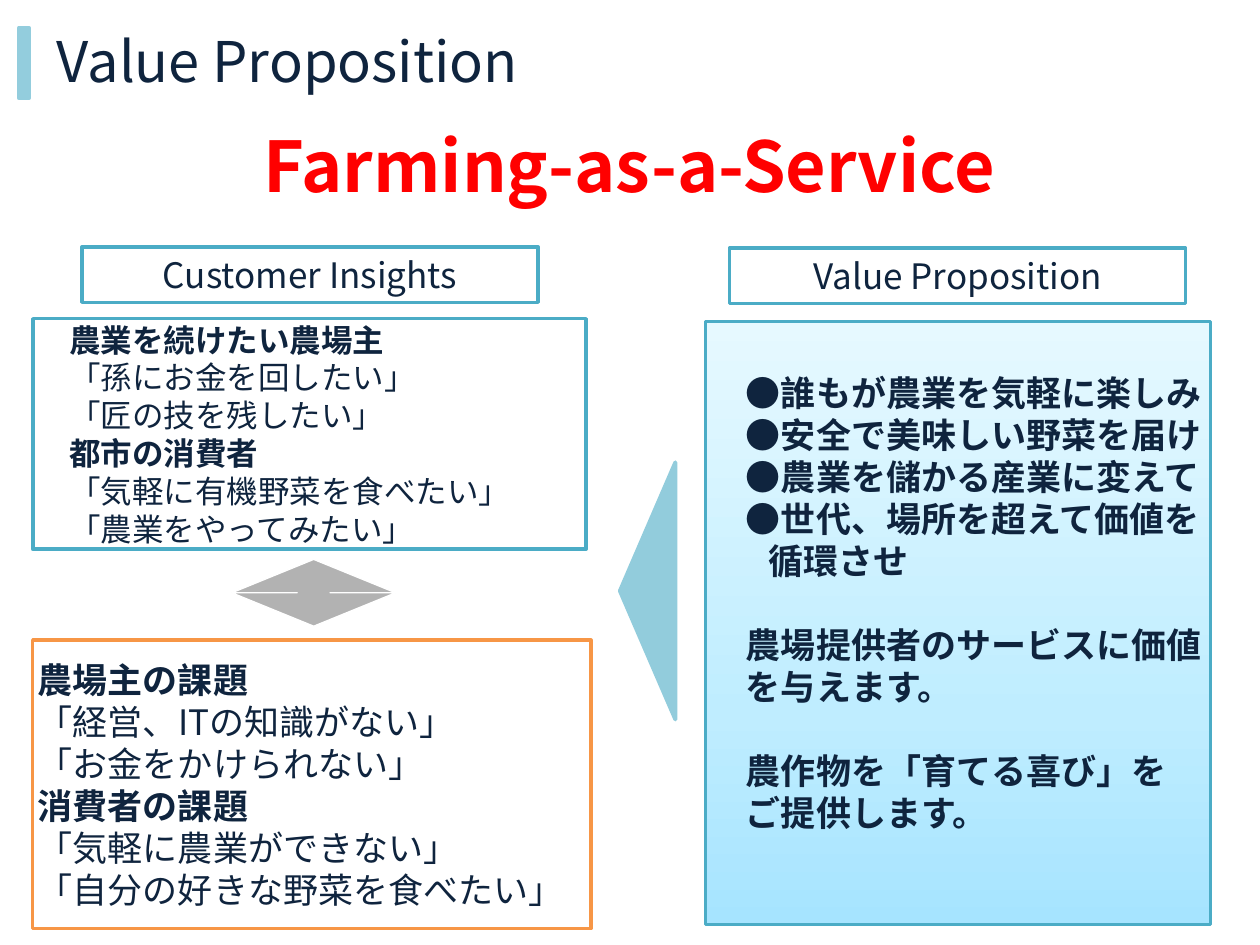
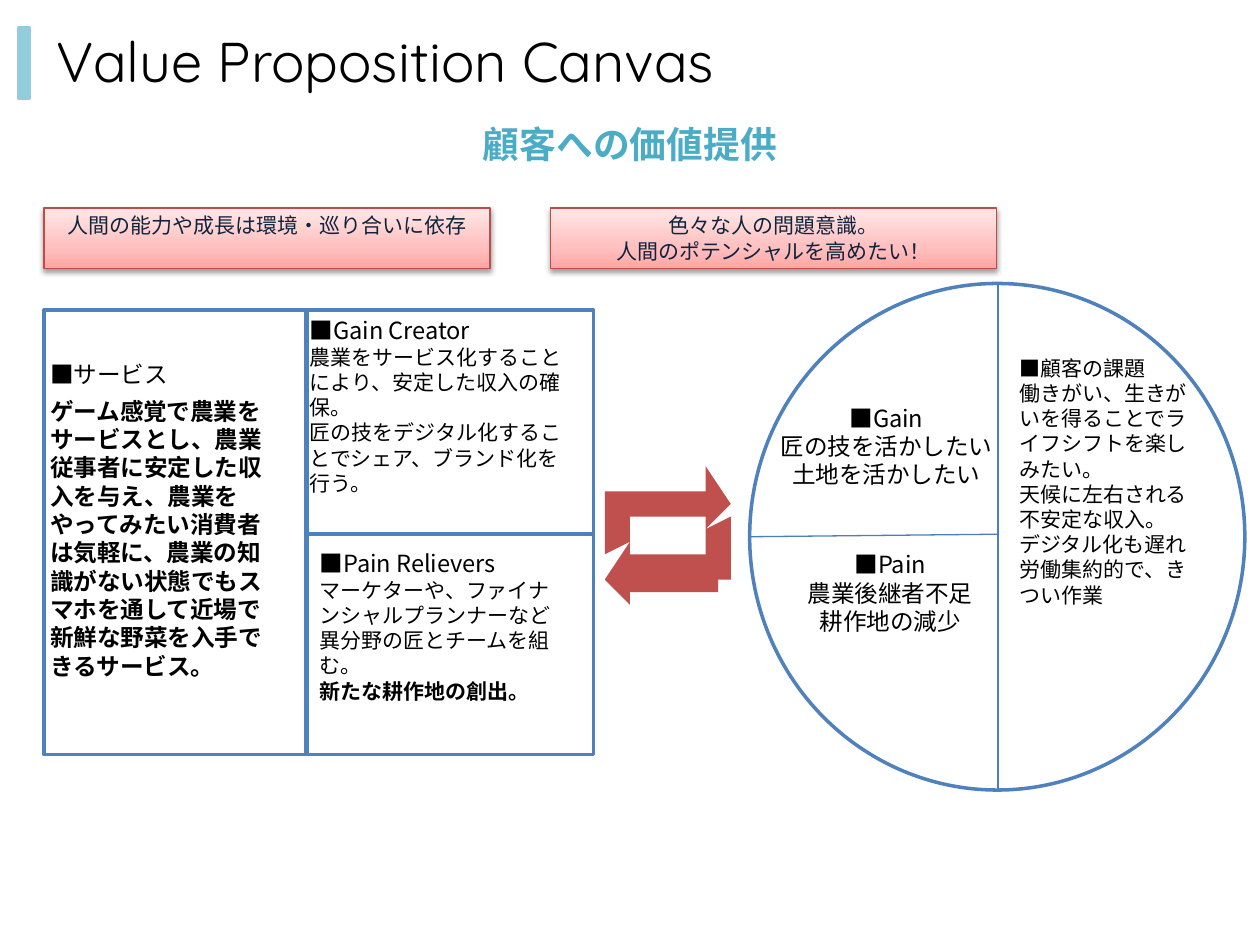
from dataclasses import dataclass

from lxml import etree
from pptx import Presentation
from pptx.dml.color import RGBColor
from pptx.enum.shapes import MSO_CONNECTOR, MSO_SHAPE
from pptx.enum.text import MSO_ANCHOR, MSO_AUTO_SIZE, PP_ALIGN
from pptx.oxml.ns import qn
from pptx.util import Inches, Pt

RECT, OVAL = MSO_SHAPE.RECTANGLE, MSO_SHAPE.OVAL
TRIANGLE, UP_DOWN = MSO_SHAPE.ISOSCELES_TRIANGLE, MSO_SHAPE.UP_DOWN_ARROW
STRAIGHT = MSO_CONNECTOR.STRAIGHT
TOP, MIDDLE = MSO_ANCHOR.TOP, MSO_ANCHOR.MIDDLE
LEFT, CENTER = PP_ALIGN.LEFT, PP_ALIGN.CENTER

SANS, ROUND = "Noto Sans CJK JP", "Quicksand"
COLORS = {
    "navy": "0F243E", "black": "000000", "white": "FFFFFF", "red": "FF0000",
    "teal": "4BACC6", "bar": "93CDDD", "pointer": "92CCDC", "grey": "B2B2B2",
    "orange": "F79646", "blue": "4F81BD", "divider": "4B7EBC",
    "cycle": "C0504D", "rose": "BF4C48",
}
SKY_STOPS = ((0, "A6E4FF"), (35, "BFEDFF"), (100, "E6F9FF"))
ROSE_STOPS = ((0, "FFA6A5"), (35, "FFC0BF"), (100, "FFE7E7"))

# Every place is given on a grid of 100 columns by 75 rows.
WIDTH, HEIGHT = Inches(10), Inches(7.5)
COLUMN, ROW = WIDTH / 100, HEIGHT / 75


@dataclass(frozen=True)
class Area:
    left: float
    top: float
    width: float
    height: float

    def lengths(self) -> tuple[int, ...]:
        return (round(self.left * COLUMN), round(self.top * ROW),
                round(self.width * COLUMN), round(self.height * ROW))


@dataclass(frozen=True)
class Line:
    words: str
    bold: bool = False
    indent: float = 0
    before: float = 0
    size: float = 0


@dataclass(frozen=True)
class Style:
    size: float
    color: str = "navy"
    font: str = SANS
    align: PP_ALIGN = LEFT
    anchor: MSO_ANCHOR = MIDDLE
    side: float = 0.1
    above: float = 0.05
    below: float = 0.05


@dataclass(frozen=True)
class Look:
    fill: str = ""
    line: str = ""
    weight: float = 2
    stops: tuple = ()


@dataclass(frozen=True)
class TextBlock:
    area: Area
    style: Style
    lines: list


def rgb(name: str) -> RGBColor:
    return RGBColor.from_string(COLORS[name])


def write(shape, lines: list[Line], style: Style) -> None:
    frame = shape.text_frame
    frame.word_wrap = True
    frame.auto_size = MSO_AUTO_SIZE.NONE
    frame.vertical_anchor = style.anchor
    frame.margin_left = frame.margin_right = Inches(style.side)
    frame.margin_top, frame.margin_bottom = Inches(style.above), Inches(style.below)
    for number, line in enumerate(lines):
        para = frame.add_paragraph() if number else frame.paragraphs[0]
        para.text = line.words
        para.alignment = style.align
        if line.before:
            para.space_before = Pt(line.before)
        properties = para._p.get_or_add_pPr()
        properties.set("marL", "0")
        properties.set("indent", str(Inches(line.indent)))
        if shape.is_placeholder:
            etree.SubElement(properties, qn("a:buNone"))
        font = para.font
        font.size = Pt(line.size or style.size)
        font.bold = line.bold
        font.color.rgb = rgb(style.color)
        font.name = style.font
        east_asian = etree.SubElement(properties.find(qn("a:defRPr")), qn("a:ea"))
        east_asian.set("typeface", SANS)


def paint(shape, look: Look) -> None:
    shape.shadow.inherit = False
    if look.stops:
        shape.fill.gradient()
        shape.fill.gradient_angle = 90
        stop_list = shape._element.spPr.find(".//" + qn("a:gsLst"))
        stop_list.clear()
        for share, color in look.stops:
            stop = etree.SubElement(stop_list, qn("a:gs"), pos=str(share * 1000))
            etree.SubElement(stop, qn("a:srgbClr"), val=color)
    elif look.fill:
        shape.fill.solid()
        shape.fill.fore_color.rgb = rgb(look.fill)
    else:
        shape.fill.background()
    if look.line:
        shape.line.color.rgb = rgb(look.line)
        shape.line.width = Pt(look.weight)
    else:
        shape.line.fill.background()


def draw(page, kind, area: Area, look: Look):
    shape = page.shapes.add_shape(kind, *area.lengths())
    paint(shape, look)
    return shape


def add_shadow(shape) -> None:
    effects = shape._element.spPr.find(qn("a:effectLst"))
    shadow = etree.SubElement(effects, qn("a:outerShdw"), blurRad=str(Pt(3.1)),
                              dist=str(Pt(1.6)), dir="5400000", rotWithShape="0")
    color = etree.SubElement(shadow, qn("a:srgbClr"), val=COLORS["black"])
    etree.SubElement(color, qn("a:alpha"), val="38000")


def divide(page, start: tuple, end: tuple) -> None:
    points = [round(value * unit) for point in (start, end)
              for value, unit in zip(point, (COLUMN, ROW))]
    connector = page.shapes.add_connector(STRAIGHT, *points)
    connector.line.color.rgb = rgb("divider")
    connector.line.width = Pt(0.75)
    etree.SubElement(connector._element.spPr, qn("a:effectLst"))


def start_page(deck, title: str, title_style: Style, subtitle: TextBlock):
    page = deck.slides.add_slide(deck.slide_layouts[1])
    heading, body = page.placeholders
    heading_block = TextBlock(Area(1.5, 1.6, 98.1, 6.4), title_style,
                              [Line(title, indent=0.2)])
    for holder, block in ((heading, heading_block), (body, subtitle)):
        holder.left, holder.top, holder.width, holder.height = block.area.lengths()
        write(holder, block.lines, block.style)
    draw(page, RECT, Area(1.5, 2.2, 0.8, 5.6), Look("bar", "bar", 2.25))
    return page


def build_proposition(deck) -> None:
    page = start_page(deck, "Value Proposition", Style(32), TextBlock(
        Area(3.5, 9.2, 92.9, 7.7), Style(40, "red", align=CENTER, anchor=TOP),
        [Line("Farming-as-a-Service", bold=True)]))
    tab = Style(20, align=CENTER)
    label_look = Look("white", "teal")
    for words, left, top in (("Customer Insights", 6.5, 19.6),
                             ("Value Proposition", 57.9, 19.7)):
        label = draw(page, RECT, Area(left, top, 36.2, 4.4), label_look)
        write(label, [Line(words)], tab)

    pointer = draw(page, TRIANGLE, Area(41.2, 44.7, 20.4, 4.4),
                   Look("pointer", "pointer", 2.25))
    pointer.rotation = 270
    swap = draw(page, UP_DOWN, Area(18.4, 44.4, 13, 5.3), Look("grey", "white", 0.75))
    swap.adjustments[0], swap.adjustments[1] = 0.5, 0.2

    step, hanging = 0.28, 0.46
    tight = {"side": 0.04, "above": 0.04}
    panels = (
        (label_look, TextBlock(
            Area(2.6, 25.3, 43.9, 18.3), Style(18, below=0.04, **tight), [
                Line("農業を続けたい農場主", True, 0.25),
                Line("「孫にお金を回したい」", indent=0.25),
                Line("「匠の技を残したい」", indent=0.25),
                Line("都市の消費者", True, 0.25),
                Line("「気軽に有機野菜を食べたい」", indent=0.25),
                Line("「農業をやってみたい」", indent=0.25)])),
        (Look("white", "orange"), TextBlock(
            Area(2.6, 50.8, 44.3, 22.9), Style(20, below=0.04, **tight), [
                Line("農場主の課題", True),
                Line("「経営、ITの知識がない」"),
                Line("「お金をかけられない」"),
                Line("消費者の課題", True),
                Line("「気軽に農業ができない」"),
                Line("「自分の好きな野菜を食べたい」")])),
        (Look(line="teal", weight=1.75, stops=SKY_STOPS), TextBlock(
            Area(56, 25.5, 40.1, 47.9), Style(20, below=0.37, **tight), [
                Line("●誰もが農業を気軽に楽しみ", True, step),
                Line("●安全で美味しい野菜を届け", True, step),
                Line("●農業を儲かる産業に変えて", True, step),
                Line("●世代、場所を超えて価値を", True, step),
                Line("循環させ", True, hanging),
                Line("農場提供者のサービスに価値", True, step, 24),
                Line("を与えます。", True, step),
                Line("農作物を「育てる喜び」を", True, step, 24),
                Line("ご提供します。", True, step)])),
    )
    for look, panel in panels:
        write(draw(page, RECT, panel.area, look), panel.lines, panel.style)


def draw_cycle(page) -> None:
    """Two bent arrows chasing each other, as one outline."""
    lower = [(58, 41.2), (58, 45.4), (57.9, 46), (57.6, 46.3), (57.2, 46.5),
             (56.8, 46.6), (50.1, 46.6), (50.1, 47.9), (48.1, 45.6), (50.1, 43.3),
             (50.1, 44.5), (56.1, 44.5), (56.4, 44.3), (56.5, 44.1), (56.4, 42.5)]
    upper = [(56, 37.3), (58.4, 39.6), (56.1, 41.9), (56.1, 40.7), (50, 40.7),
             (49.7, 40.8), (49.6, 41.1), (49.6, 42.8), (48.1, 44.5), (48.1, 39.9),
             (48.2, 39.3), (48.4, 38.9), (48.8, 38.7), (49.3, 38.6), (56.1, 38.6)]
    builder = page.shapes.build_freeform(*lower[0], scale=COLUMN)
    builder.add_line_segments(lower[1:], close=True)
    builder.move_to(*upper[0])
    builder.add_line_segments(upper[1:], close=True)
    paint(builder.convert_to_shape(), Look("cycle"))


def build_canvas(deck) -> None:
    page = start_page(
        deck, "Value Proposition Canvas", Style(32, "black", ROUND), TextBlock(
            Area(15.1, 9.2, 69.8, 6.8), Style(21, "teal", ROUND, CENTER, TOP),
            [Line("顧客への価値提供", bold=True)]))
    frame = Look(line="blue")
    for kind, area in ((OVAL, Area(59.5, 22.5, 39.3, 40.2)),
                       (RECT, Area(3.5, 24.6, 20.8, 35.3)),
                       (RECT, Area(24.4, 24.6, 22.7, 17.8)),
                       (RECT, Area(24.4, 42.4, 22.7, 17.5))):
        draw(page, kind, area, frame)
    draw_cycle(page)
    divide(page, (79.2, 22.5), (79.2, 62.7))
    divide(page, (59.5, 42.6), (79.2, 42.4))

    small = Style(12, "black")
    service = Style(13.5, "black", below=0.5)
    customer = Style(13.5, "black", align=CENTER, below=0.28)
    blocks = (
        TextBlock(Area(23.6, 26.4, 22.4, 11.6), small, [
            Line("■Gain Creator", size=13.5),
            Line("農業をサービス化することにより、安定した収入の確保。"),
            Line("匠の技をデジタル化することでシェア、ブランド化を行う。")]),
        TextBlock(Area(24.4, 43.9, 21.6, 11.6), small, [
            Line("■Pain Relievers", size=13.5),
            Line("マーケターや、ファイナンシャルプランナーなど異分野の匠とチームを組む。"),
            Line("新たな耕作地の創出。", bold=True)]),
        TextBlock(Area(3, 29, 20.5, 29), service, [
            Line("■サービス"),
            Line("ゲーム感覚で農業をサービスとし、農業従事者に安定した収入を与え、"
                 "農業をやってみたい消費者は気軽に、農業の知識がない状態でも"
                 "スマホを通して近場で新鮮な野菜を入手できるサービス。",
                 bold=True, before=5)]),
        TextBlock(Area(60.8, 29.3, 19.1, 14.5), customer, [
            Line("■Gain"), Line("匠の技を活かしたい"), Line("土地を活かしたい")]),
        TextBlock(Area(61.1, 40.8, 19.1, 14.8), customer, [
            Line("■Pain"), Line("農業後継者不足"), Line("耕作地の減少")]),
        TextBlock(Area(79.9, 28.1, 16.8, 20.2), small, [
            Line("■顧客の課題"),
            Line("働きがい、生きがいを得ることでライフシフトを楽しみたい。"),
            Line("天候に左右される不安定な収入。"),
            Line("デジタル化も遅れ労働集約的で、きつい作業")]),
    )
    for block in blocks:
        box = page.shapes.add_textbox(*block.area.lengths())
        write(box, block.lines, block.style)

    beliefs = (
        (3.5, 0.24, [Line("人間の能力や成長は環境・巡り合いに依存")]),
        (43.7, 0.04, [Line("色々な人の問題意識。"),
                      Line("人間のポテンシャルを高めたい！")]),
    )
    for left, below, lines in beliefs:
        banner = draw(page, RECT, Area(left, 16.5, 35.4, 4.8),
                      Look(line="rose", weight=0.75, stops=ROSE_STOPS))
        add_shadow(banner)
        write(banner, lines, Style(12, align=CENTER, side=0.04, above=0.04, below=below))


def main() -> None:
    deck = Presentation()
    deck.slide_width, deck.slide_height = WIDTH, HEIGHT
    build_proposition(deck)
    build_canvas(deck)
    deck.save("out.pptx")


if __name__ == "__main__":
    main()
